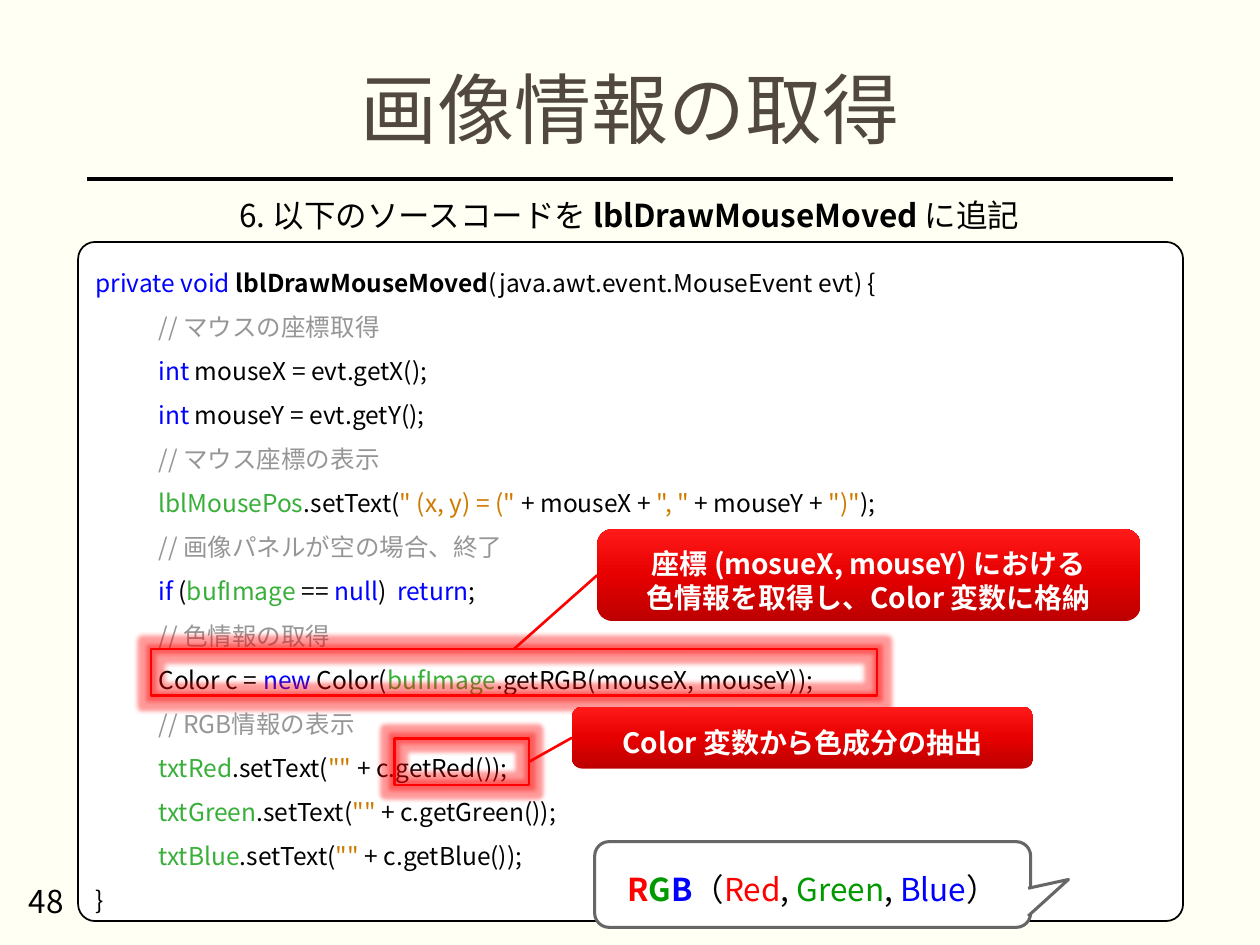
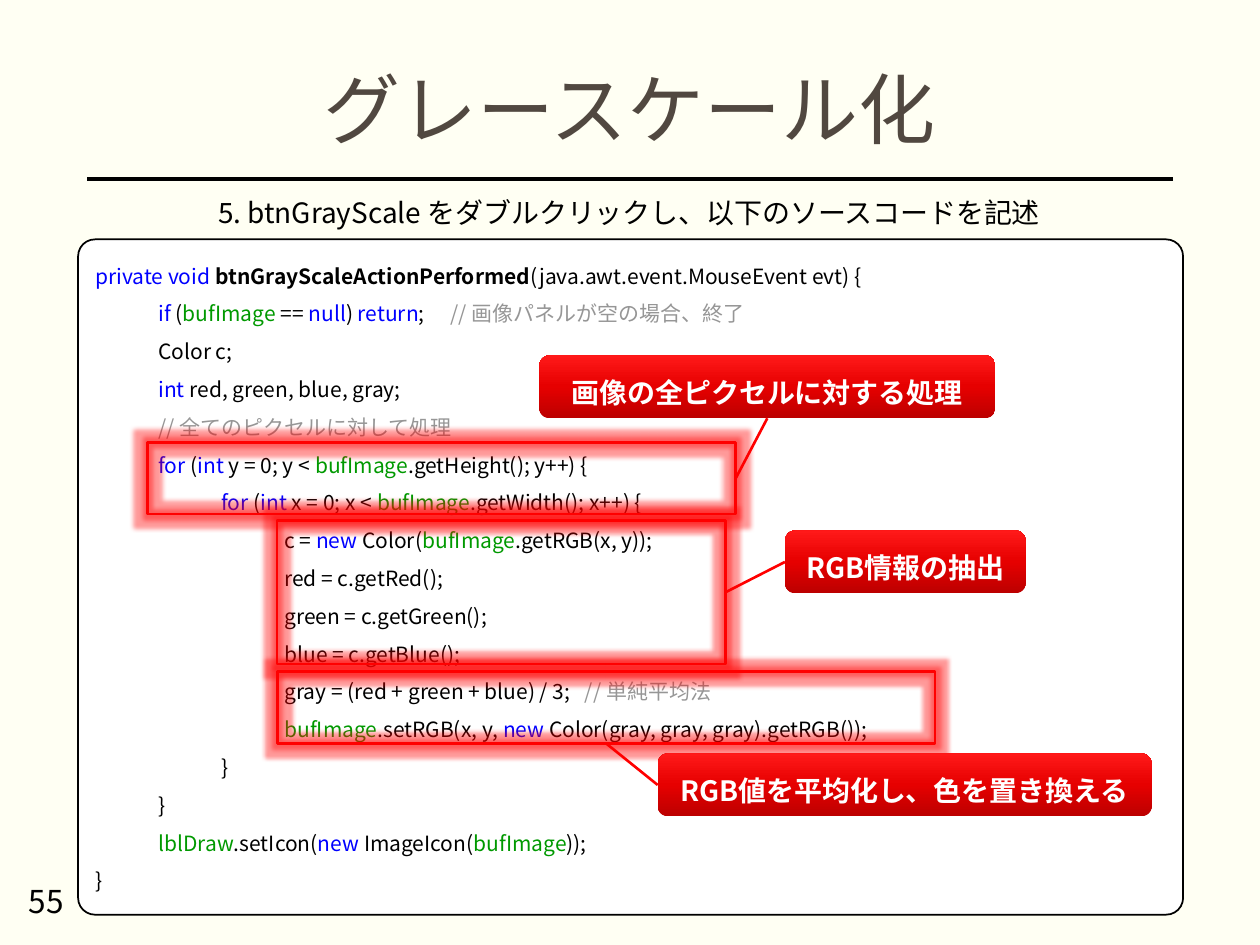
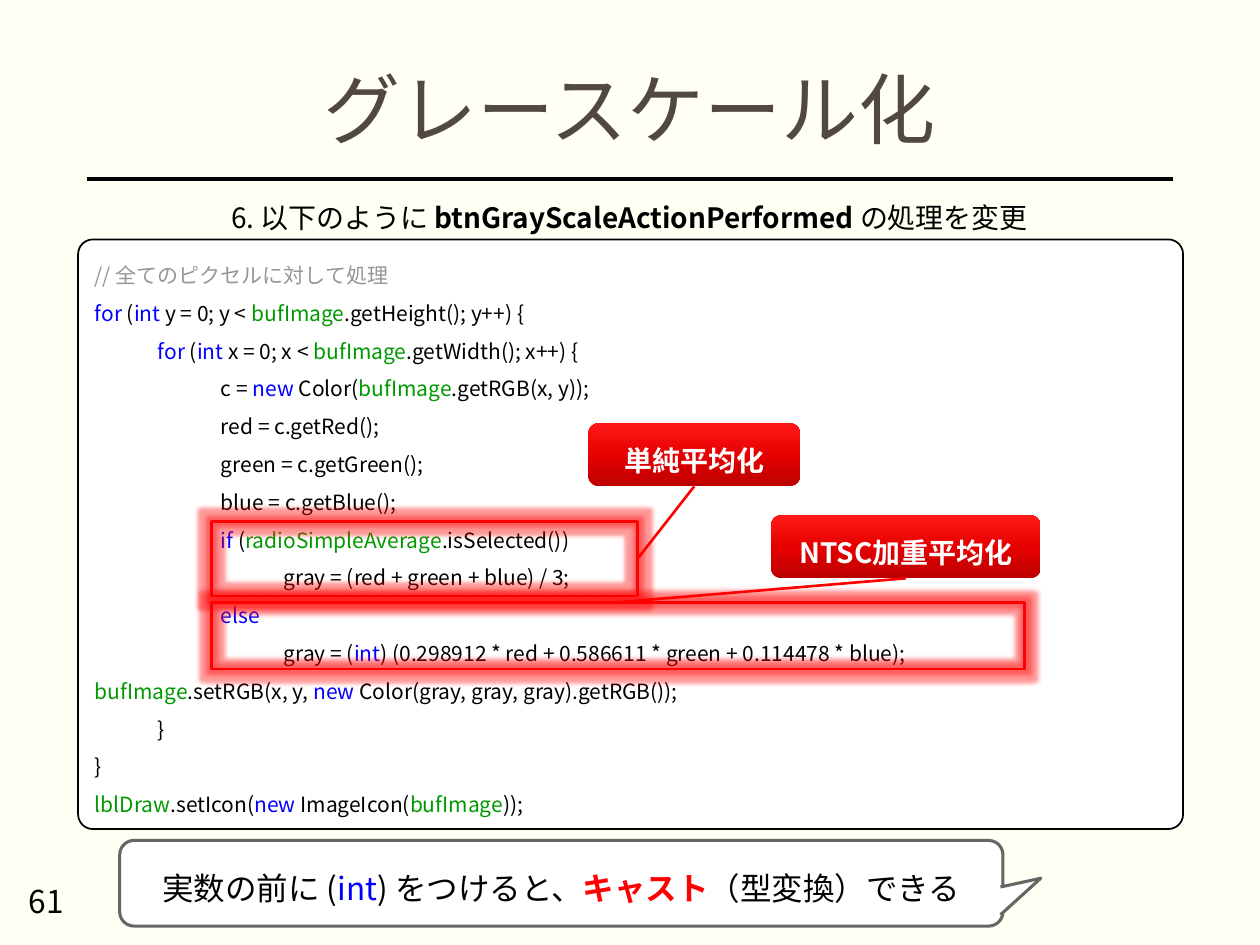
from copy import deepcopy

from lxml.etree import SubElement
from pptx import Presentation
from pptx.dml.color import RGBColor
from pptx.enum.shapes import MSO_CONNECTOR, MSO_SHAPE
from pptx.enum.text import MSO_ANCHOR, PP_ALIGN
from pptx.oxml.ns import qn
from pptx.util import Inches, Pt

FONT = "Noto Sans CJK JP"
COLORS = {
    "page": "FFFFF3", "title": "514840", "white": "FFFFFF", "black": "000000",
    "keyword": "0000FF", "comment": "969696", "field": "38AF38",
    "green": "009900", "string": "CE7B00", "red": "FF0000", "outline": "666666",
    "dark_red": "BC0000", "mid_red": "E60000", "light_red": "FF1919",
}
# Marked text: parts are split by "|", and a part may start with "style~"
STYLES = {
    "": ("black", False), "b": ("black", True),
    "k": ("keyword", False), "kb": ("keyword", True),
    "c": ("comment", False), "f": ("field", False), "s": ("string", False),
    "g": ("green", False), "gb": ("green", True),
    "r": ("red", False), "rb": ("red", True),
    "t": ("title", False), "w": ("white", True),
}
# Connection sites of rectangles
TOP, LEFT, BOTTOM, RIGHT = range(4)

MOUSE_CODE = [
    "k~private void |b~lblDrawMouseMoved|(java.awt.event.MouseEvent evt) {",
    "\tc~// マウスの座標取得",
    "\tk~int |mouseX = evt.getX();",
    "\tk~int |mouseY = evt.getY();",
    "\tc~// マウス座標の表示",
    '\tf~lblMousePos|.setText(|s~" (x, y) = ("| + mouseX + |s~", "| + mouseY + |s~")"|);',
    "\tc~// 画像パネルが空の場合、終了",
    "\tk~if| (|f~bufImage| == |k~null|)  |k~return|;",
    "\tc~// 色情報の取得",
    "\tColor c = |k~new| Color(|f~bufImage|.getRGB(mouseX, mouseY));",
    "\tc~// RGB情報の表示",
    *(f'\tf~txt{name}|.setText(|s~""| + c.get{name}());'
      for name in ("Red", "Green", "Blue")),
    "}",
]
PIXEL_LOOP = [
    "c~// 全てのピクセルに対して処理",
    "k~for| (|k~int| y = 0; y < |g~bufImage|.getHeight(); y++) {",
    "\tk~for| (|k~int| x = 0; x < |g~bufImage|.getWidth(); x++) {",
    "\t\tc = |k~new| Color(|g~bufImage|.getRGB(x, y));",
    *(f"\t\t{name} = c.get{name.title()}();" for name in ("red", "green", "blue")),
]
SIMPLE_AVERAGE = "gray = (red + green + blue) / 3;"
SET_PIXEL = "g~bufImage|.setRGB(x, y, |k~new| Color(gray, gray, gray).getRGB());"
LOOP_END = ["\t}", "}", "g~lblDraw|.setIcon(|k~new |ImageIcon(|g~bufImage|));"]
GRAY_CODE = [
    "k~private void |b~btnGrayScaleActionPerformed|(java.awt.event.MouseEvent evt) {",
    "\tk~if| (|g~bufImage| == |k~null|) |k~return|; 　|c~// 画像パネルが空の場合、終了",
    "\tColor c;",
    "\tk~int| red, green, blue, gray;",
    *("\t" + line for line in [
        *PIXEL_LOOP,
        f"\t\t{SIMPLE_AVERAGE}   |c~// 単純平均法",
        "\t\t" + SET_PIXEL,
        *LOOP_END,
    ]),
    "}",
]
AVERAGE_CODE = [
    *PIXEL_LOOP,
    "\t\tk~if| (|g~radioSimpleAverage|.isSelected())",
    "\t\t\t" + SIMPLE_AVERAGE,
    "\t\tk~else",
    "\t\t\tgray = (|k~int|) (0.298912 * red + 0.586611 * green + 0.114478 * blue);",
    SET_PIXEL,
    *LOOP_END,
]


def rgb(name):
    return RGBColor.from_string(COLORS[name])


def box(*at):
    return [Inches(v) for v in at]


def write(tf, lines, size, align=PP_ALIGN.LEFT, spacing=None):
    """Write marked lines; each leading tab indents by half an inch."""
    for i, line in enumerate(lines):
        p = tf.paragraphs[0] if i == 0 else tf.add_paragraph()
        text = line.lstrip("\t")
        depth = len(line) - len(text)
        if depth:
            p._p.get_or_add_pPr().set("marL", str(Inches(0.5 * depth)))
        p.alignment = align
        if spacing:
            p.line_spacing = spacing
        p.font.size, p.font.name = Pt(size), FONT
        SubElement(p.font._element, qn("a:ea"), typeface=FONT)
        for part in text.split("|"):
            style, _, content = part.rpartition("~")
            color, bold = STYLES[style]
            r = p.add_run()
            r.text = content
            r.font.color.rgb = rgb(color)
            r.font.bold = bold


def add_text(s, at, line, size, align=PP_ALIGN.LEFT, anchor=MSO_ANCHOR.TOP, spacing=None):
    tf = s.shapes.add_textbox(*box(*at)).text_frame
    tf.word_wrap = True
    tf.vertical_anchor = anchor
    write(tf, [line], size, align, spacing)


def paint(sp, fill, line, width):
    sp.shadow.inherit = False
    if fill:
        sp.fill.solid()
        sp.fill.fore_color.rgb = rgb(fill)
    else:
        sp.fill.background()
    sp.line.color.rgb = rgb(line)
    sp.line.width = Pt(width)


def add_line(s, color, width, begin=(0, 0), end=(0, 0)):
    sp = s.shapes.add_connector(MSO_CONNECTOR.STRAIGHT, *box(*begin, *end))
    sp.line.color.rgb = rgb(color)
    sp.line.width = Pt(width)
    SubElement(sp._element.spPr, qn("a:effectLst"))
    return sp


def add_code(s, top, height, lines, size):
    sp = s.shapes.add_shape(MSO_SHAPE.ROUNDED_RECTANGLE, *box(0.62, top, 8.77, height))
    sp.adjustments[0] = 0.025
    paint(sp, "white", "black", 1)
    sp.text_frame.vertical_anchor = MSO_ANCHOR.TOP
    write(sp.text_frame, lines, size, spacing=1.5)


def add_highlight(s, at):
    sp = s.shapes.add_shape(MSO_SHAPE.RECTANGLE, *box(*at))
    paint(sp, None, "red", 1.5)
    effects = sp._element.spPr.find(qn("a:effectLst"))
    glow = SubElement(effects, qn("a:glow"), rad=str(Pt(5)))
    color = SubElement(glow, qn("a:srgbClr"), val=COLORS["red"])
    SubElement(color, qn("a:alpha"), val="40000")
    return sp


def add_label(s, at, lines):
    sp = s.shapes.add_shape(MSO_SHAPE.ROUNDED_RECTANGLE, *box(*at))
    sp.shadow.inherit = False
    sp.line.fill.background()
    # Three-stop gradient, dark at the bottom
    sp.fill.gradient()
    sp.fill.gradient_angle = 90
    stops = sp._element.spPr.find(qn("a:gradFill")).find(qn("a:gsLst"))
    stops.insert(1, deepcopy(stops[0]))
    names = ("dark_red", "mid_red", "light_red")
    for stop, name, position in zip(sp.fill.gradient_stops, names, (0, 0.5, 1)):
        stop.color.rgb = rgb(name)
        stop.position = position
    tf = sp.text_frame
    tf.word_wrap = True
    tf.vertical_anchor = MSO_ANCHOR.MIDDLE
    tf.margin_left = tf.margin_right = tf.margin_bottom = 0
    tf.margin_top = Inches(0.08)
    write(tf, ["w~" + line for line in lines], 16, PP_ALIGN.CENTER)
    return sp


def add_callout(s, target, target_side, at, side, *lines):
    """Frame some code and tie a red label to it."""
    frame = add_highlight(s, target)
    label = add_label(s, at, lines)
    tie = add_line(s, "red", 1.5)
    tie.begin_connect(label, side)
    tie.end_connect(frame, target_side)


def add_bubble(s, left, top, width, line):
    sp = s.shapes.add_shape(MSO_SHAPE.ROUNDED_RECTANGLE, *box(left, top, width, 0.68))
    paint(sp, "white", "outline", 1.75)
    tf = sp.text_frame
    tf.word_wrap = False
    tf.vertical_anchor = MSO_ANCHOR.MIDDLE
    tf.margin_top = Inches(0.12)
    write(tf, [line], 18, PP_ALIGN.CENTER)
    # Tail, left open where it meets the bubble
    right = left + width
    tail = s.shapes.build_freeform(*box(right - 0.02, top + 0.37))
    tail.add_line_segments(
        [box(right + 0.3, top + 0.3), box(right - 0.02, top + 0.59)], close=False)
    paint(tail.convert_to_shape(), "white", "outline", 1.75)


def add_slide(prs, title, number):
    s = prs.slides.add_slide(prs.slide_layouts[6])
    s.background.fill.solid()
    s.background.fill.fore_color.rgb = rgb("page")
    add_line(s, "black", 2, (9.31, 1.42), (0.69, 1.42))
    add_text(s, (0.69, 0.47, 8.62, 0.86), "t~" + title, 44,
             PP_ALIGN.CENTER, MSO_ANCHOR.MIDDLE, 0.9)
    add_text(s, (0.13, 6.95, 2.25, 0.4), str(number), 18)
    return s


def add_step(s, top, line, size):
    add_text(s, (0.6, top, 8.79, 0.4), line, size, PP_ALIGN.CENTER)


def main():
    prs = Presentation()
    prs.slide_width, prs.slide_height = Inches(10), Inches(7.5)

    # Reading pixel colours under the mouse
    s = add_slide(prs, "画像情報の取得", 48)
    add_code(s, 1.92, 5.39, MOUSE_CODE, 14)
    add_step(s, 1.51, "6. 以下のソースコードを |b~lblDrawMouseMoved |に追記", 18)
    add_callout(s, (1.2, 5.15, 5.76, 0.37), TOP, (4.74, 4.2, 4.31, 0.73), LEFT,
                "座標 (mosueX, mouseY) における", "色情報を取得し、Color 変数に格納")
    add_callout(s, (3.13, 5.86, 1.07, 0.37), RIGHT, (4.54, 5.61, 3.66, 0.49), LEFT,
                "Color 変数から色成分の抽出")
    add_bubble(s, 4.72, 6.68, 3.46,
               "rb~R|gb~G|kb~B|（|r~Red|, |g~Green|, |k~Blue|）")

    # Grayscale conversion
    s = add_slide(prs, "グレースケール化", 55)
    add_code(s, 1.9, 5.36, GRAY_CODE, 12)
    add_step(s, 1.5, "5. btnGrayScale をダブルクリックし、以下のソースコードを記述", 16)
    add_callout(s, (1.17, 3.51, 4.67, 0.57), RIGHT, (4.28, 2.82, 3.62, 0.5), BOTTOM,
                "画像の全ピクセルに対する処理")
    add_callout(s, (2.2, 4.13, 3.56, 1.14), RIGHT, (6.23, 4.21, 1.91, 0.5), LEFT,
                "RGB情報の抽出")
    add_callout(s, (2.2, 5.33, 5.22, 0.57), BOTTOM, (5.22, 5.98, 3.92, 0.5), LEFT,
                "RGB値を平均化し、色を置き換える")

    # Choice of averaging method
    s = add_slide(prs, "グレースケール化", 61)
    add_code(s, 1.9, 4.68, AVERAGE_CODE, 12)
    add_step(s, 1.54, "6. 以下のように |b~btnGrayScaleActionPerformed |の処理を変更", 16)
    add_callout(s, (1.68, 4.14, 3.38, 0.59), RIGHT, (4.67, 3.36, 1.68, 0.5), BOTTOM,
                "単純平均化")
    add_callout(s, (1.68, 4.78, 6.45, 0.53), TOP, (6.12, 4.09, 2.14, 0.5), BOTTOM,
                "NTSC加重平均化")
    add_bubble(s, 0.95, 6.67, 7.01,
               "実数の前に (|k~int|) をつけると、|rb~キャスト|（型変換）できる")

    prs.save("out.pptx")


if __name__ == "__main__":
    main()
